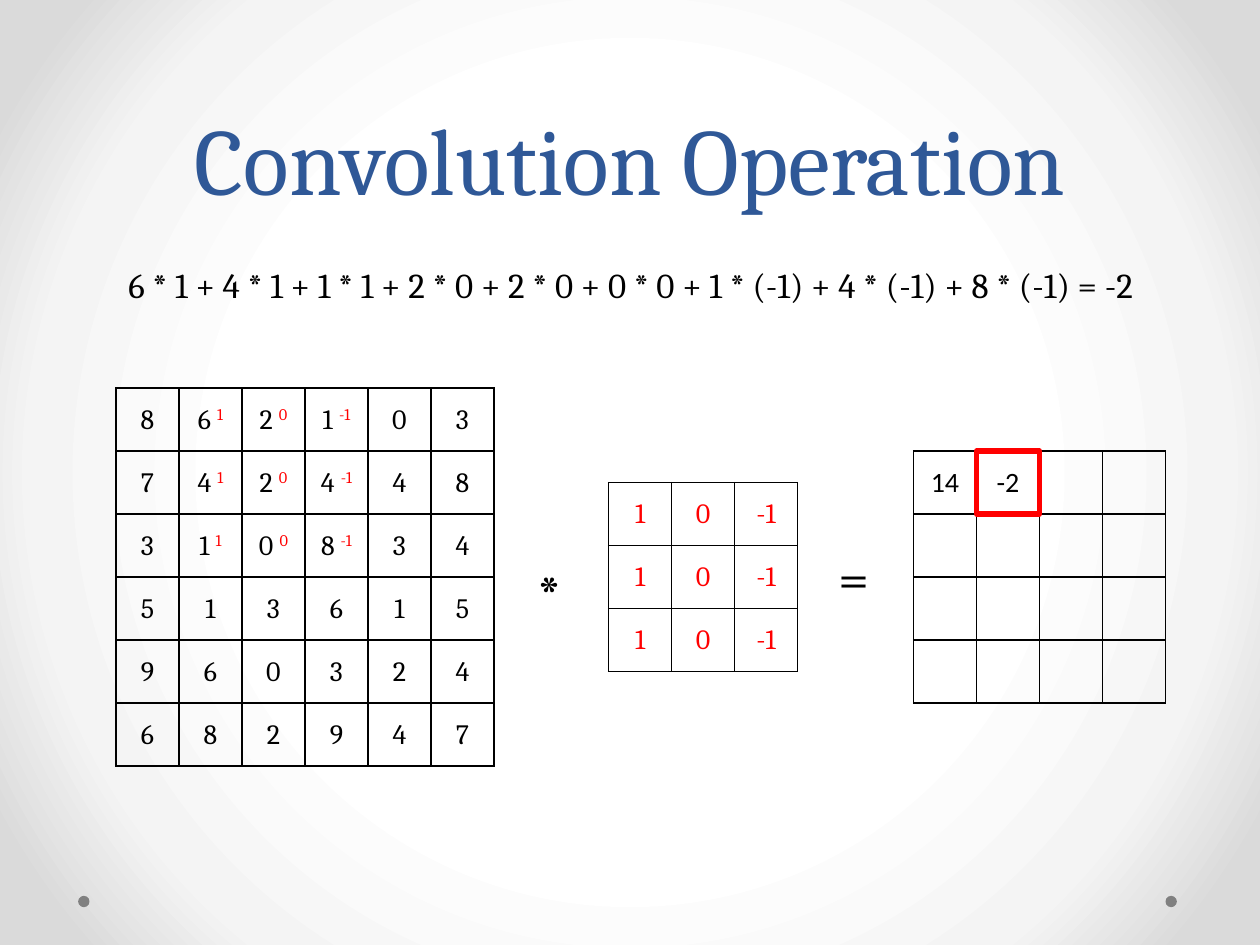
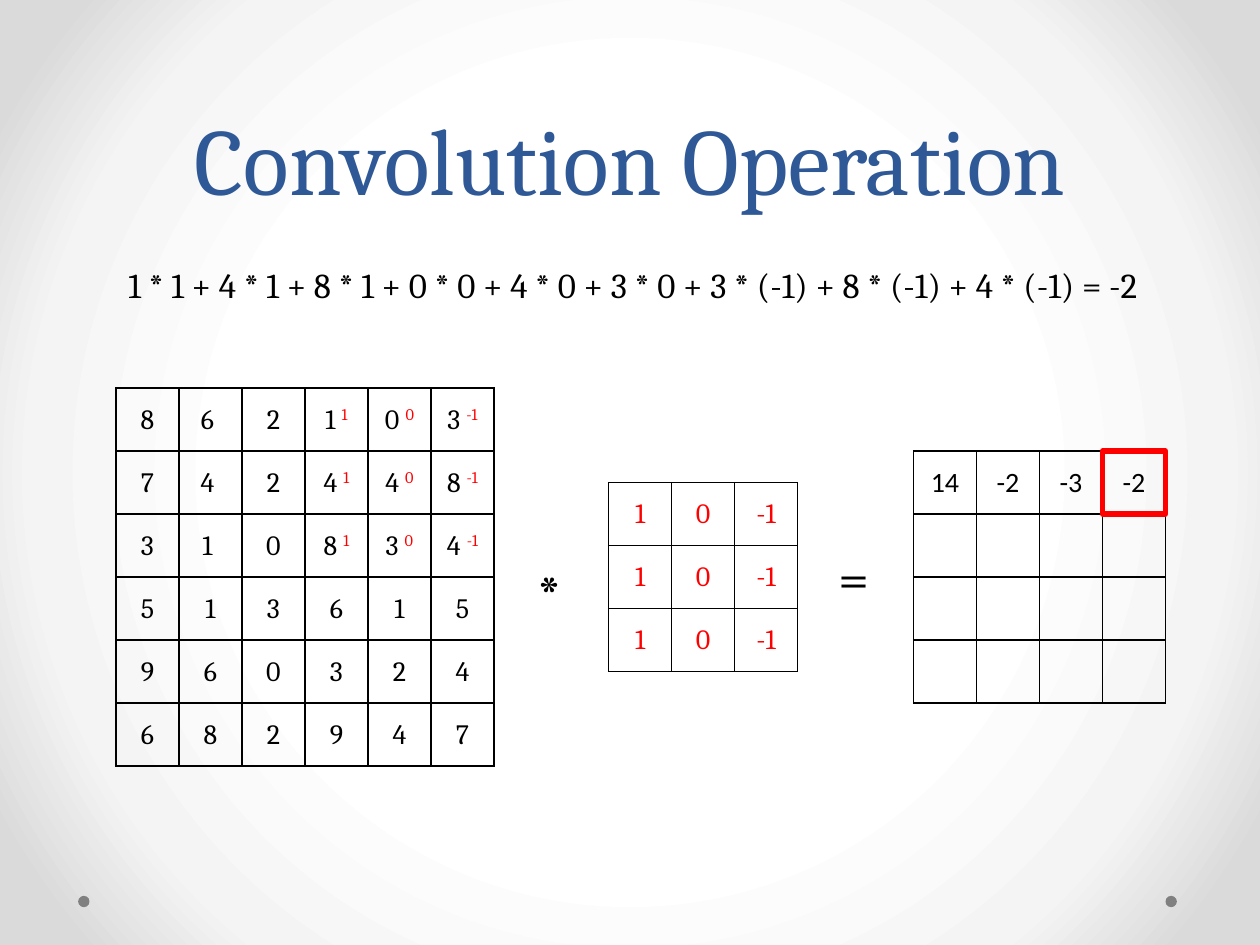
from dataclasses import dataclass
from itertools import product

from pptx import Presentation
from pptx.dml.color import RGBColor
from pptx.enum.shapes import MSO_SHAPE
from pptx.enum.text import MSO_ANCHOR, MSO_AUTO_SIZE, PP_ALIGN
from pptx.oxml import parse_xml
from pptx.oxml.ns import nsdecls, qn
from pptx.util import Inches, Pt

CENTER, LEFT = PP_ALIGN.CENTER, PP_ALIGN.LEFT
MIDDLE, TOP, BOTTOM = MSO_ANCHOR.MIDDLE, MSO_ANCHOR.TOP, MSO_ANCHOR.BOTTOM
FIT_SHAPE, FIT_NONE = MSO_AUTO_SIZE.SHAPE_TO_FIT_TEXT, MSO_AUTO_SIZE.NONE
OVAL, RECTANGLE = MSO_SHAPE.OVAL, MSO_SHAPE.RECTANGLE


@dataclass(frozen=True)
class Theme:
    title_color: str = "2F5897"
    ink: str = "000000"
    accent: str = "FF0000"
    dot: str = "808080"
    glow: tuple = ((50, "FFFFFF"), (76, "F4F4F4"), (92, "DADADA"))
    serif: str = "Cambria"
    sans: str = "Calibri"
    title_size: int = 54
    title_leading: int = 58
    operator_size: int = 32
    equation_size: int = 20
    cell_size: int = 16
    grid_line: int = 1
    marker_line: int = 3


THEME = Theme()
CELL = 0.5
TITLE = "Convolution Operation"
IMAGE = [
    ["8", "6 ", "2", "1", "0", "3"],
    ["7", "4 ", "2", "4", "4", "8"],
    ["3", "1 ", "0", "8", "3", "4"],
    ["5", "1", "3", "6", "1", "5"],
    ["9", "6", "0", "3", "2", "4"],
    ["6", "8", "2", "9", "4", "7"],
]
KERNEL = [[1, 0, -1]] * 3
KERNEL_SIZE = len(KERNEL)
RESULT_SIZE = len(IMAGE) - KERNEL_SIZE + 1
STEPS = (1, 3)  # column of the kernel window on each slide


def window_terms(step):
    """Pairs of pixel and weight under the kernel, column by column."""
    return [(int(IMAGE[row][step + column]), KERNEL[row][column])
            for column, row in product(range(KERNEL_SIZE), repeat=2)]


def convolve(step):
    return sum(pixel * weight for pixel, weight in window_terms(step))


def equation_text(step):
    products = (f"{pixel} * {weight if weight >= 0 else f'({weight})'}"
                for pixel, weight in window_terms(step))
    return f"{' + '.join(products)} = {convolve(step)}"


def add_run(paragraph, text, size, color, face=THEME.serif):
    run = paragraph.add_run()
    run.text = text
    for attribute, value in {"size": Pt(size), "name": face}.items():
        setattr(run.font, attribute, value)
    run.font.color.rgb = RGBColor.from_string(color)
    return run


def add_label(slide, box, text, size, color=THEME.ink, align=LEFT,
              anchor=TOP, fit=FIT_SHAPE, leading=None):
    frame = slide.shapes.add_textbox(*map(Inches, box)).text_frame
    frame_format = {"word_wrap": True, "auto_size": fit, "vertical_anchor": anchor}
    for attribute, value in frame_format.items():
        setattr(frame, attribute, value)
    paragraph = frame.paragraphs[0]
    paragraph.alignment = align
    if leading:
        paragraph.line_spacing = Pt(leading)
    add_run(paragraph, text, size, color)


def add_plain_shape(slide, kind, box):
    shape = slide.shapes.add_shape(kind, *map(Inches, box))
    shape.shadow.inherit = False
    return shape


def add_backdrop(slide):
    stops = "".join(f'<a:gs pos="{position * 1000}"><a:srgbClr val="{color}"/></a:gs>'
                    for position, color in THEME.glow)
    slide.background.fill.gradient()
    gradient = slide.element.find(f".//{qn('a:gradFill')}")
    gradient.getparent().replace(gradient, parse_xml(
        f'<a:gradFill {nsdecls("a")} rotWithShape="1"><a:gsLst>{stops}</a:gsLst>'
        '<a:path path="circle"><a:fillToRect l="50000" t="50000" r="50000" b="50000"/>'
        '</a:path></a:gradFill>'))
    for left in (9.25, 0.62):
        dot = add_plain_shape(slide, OVAL, (left, 7.11, 0.09, 0.09))
        dot.fill.solid()
        dot.fill.fore_color.rgb = RGBColor.from_string(THEME.dot)
        dot.line.fill.background()


def outline_cell(cell):
    properties = cell._tc.get_or_add_tcPr()
    for index, side in enumerate(("lnL", "lnR", "lnT", "lnB")):
        properties.insert(index, parse_xml(
            f'<a:{side} {nsdecls("a")} w="{Pt(THEME.grid_line)}"><a:solidFill>'
            f'<a:srgbClr val="{THEME.ink}"/></a:solidFill></a:{side}>'))


def add_matrix(slide, left, top, values, color=THEME.ink, face=THEME.serif, weights=None):
    """Square grid; weights maps (row, column) to a raised kernel weight."""
    weights = weights or {}
    count = len(values)
    side = Inches(CELL * count)
    table = slide.shapes.add_table(count, count, Inches(left), Inches(top), side, side).table
    table.first_row = table.horz_banding = False
    cell_format = {"vertical_anchor": MIDDLE, "margin_left": Inches(0.01),
                   "margin_right": Inches(0.01), "margin_top": Inches(0.01),
                   "margin_bottom": 0}
    for row, column in product(range(count), repeat=2):
        cell = table.cell(row, column)
        for attribute, value in cell_format.items():
            setattr(cell, attribute, value)
        cell.fill.background()
        outline_cell(cell)
        text = str(values[row][column])
        if not text:
            continue
        paragraph = cell.text_frame.paragraphs[0]
        paragraph.alignment = CENTER
        weight = weights.get((row, column))
        if weight is not None:
            text = text.rstrip() + " "
        add_run(paragraph, text, THEME.cell_size, color, face)
        if weight is not None:
            raised = add_run(paragraph, str(weight), THEME.cell_size, THEME.accent, face)
            raised.font._element.set("baseline", "30000")


def add_image_matrix(slide, left, top, step):
    weights = {(row, step + column): KERNEL[row][column]
               for row, column in product(range(KERNEL_SIZE), repeat=2)}
    add_matrix(slide, left, top, IMAGE, weights=weights)


def add_result_matrix(slide, left, top, step):
    first_row = [convolve(column) if column <= step else ""
                 for column in range(RESULT_SIZE)]
    blank_rows = [[""] * RESULT_SIZE] * (RESULT_SIZE - 1)
    add_matrix(slide, left, top, [first_row, *blank_rows], face=THEME.sans)


def add_result_marker(slide, left, top, step):
    marker = add_plain_shape(slide, RECTANGLE, (left + step * CELL, top, CELL, CELL))
    marker.fill.background()
    marker.line.color.rgb = RGBColor.from_string(THEME.accent)
    marker.line.width = Pt(THEME.marker_line)


def add_convolution_slide(deck, step):
    slide = deck.slides.add_slide(deck.slide_layouts[6])
    result_corner = (7.25, 3.58)
    add_backdrop(slide)
    add_label(slide, (0.5, 0, 9, 1.75), TITLE, THEME.title_size, THEME.title_color,
              CENTER, BOTTOM, FIT_NONE, THEME.title_leading)
    add_image_matrix(slide, 0.92, 3.08, step)
    add_matrix(slide, 4.83, 3.83, KERNEL, THEME.accent)
    add_result_matrix(slide, *result_corner, step)
    for operator, left, top in (("*", 4.17, 4.38), ("=", 6.56, 4.26)):
        add_label(slide, (left, top, 0.42, 0.64), operator, THEME.operator_size)
    add_label(slide, (0.92, 2.04, 8.58, 0.44), equation_text(step), THEME.equation_size)
    add_result_marker(slide, *result_corner, step)


def main():
    deck = Presentation()
    deck.slide_width, deck.slide_height = Inches(10), Inches(7.5)
    for step in STEPS:
        add_convolution_slide(deck, step)
    deck.save("out.pptx")


if __name__ == "__main__":
    main()
